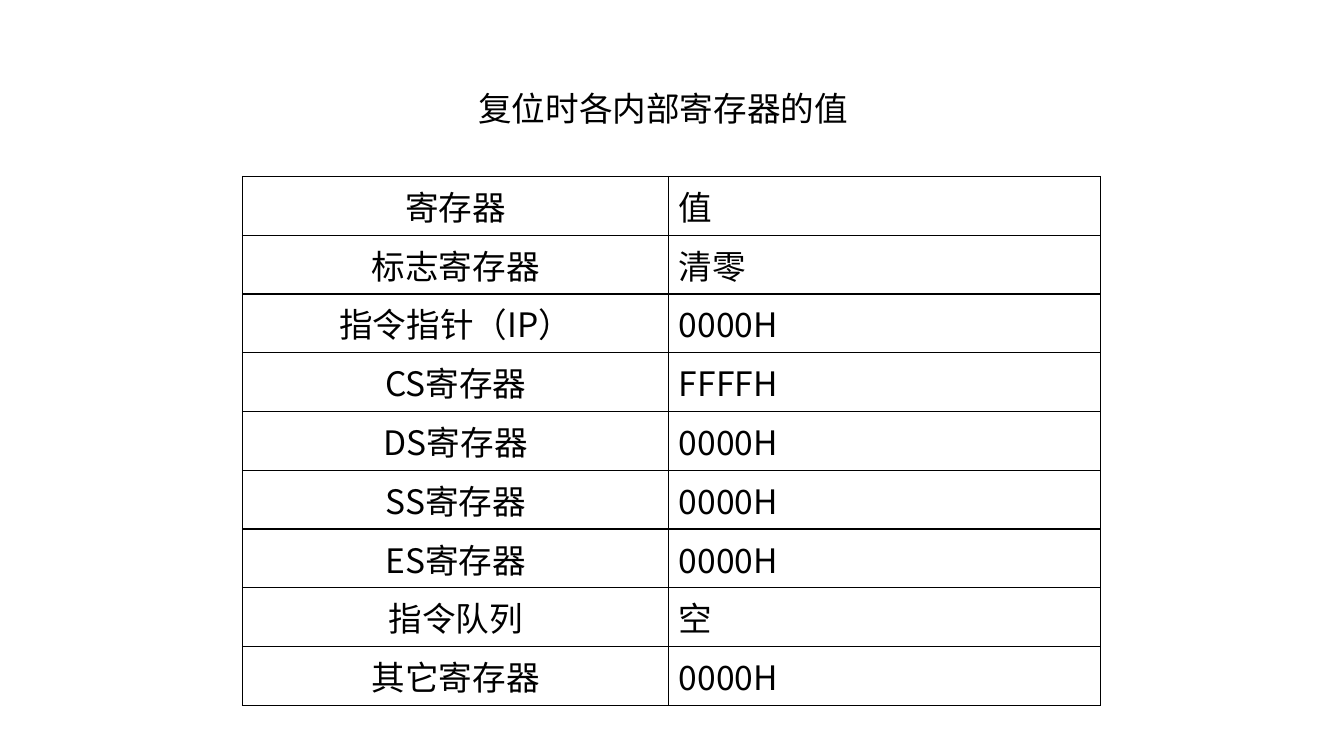
from lxml.etree import SubElement
from pptx import Presentation
from pptx.dml.color import RGBColor
from pptx.enum.text import PP_ALIGN
from pptx.oxml.ns import qn
from pptx.util import Pt

PX = 9525  # EMU per px, 96 px to the inch
FONT = "Noto Sans CJK SC"
COLORS = {"ink": "000000", "paper": "FFFFFF"}


def write(frame, text, size=24, color="ink", align=PP_ALIGN.LEFT):
    paragraph = frame.paragraphs[0]
    paragraph.alignment = align
    run = paragraph.add_run()
    run.text = text
    run.font.size = Pt(size)
    run.font.color.rgb = RGBColor.from_string(COLORS[color])
    run.font.name = FONT
    SubElement(run.font._element, qn("a:ea"), typeface=FONT)


def draw_borders(cell, color="ink", width=1):
    properties = cell._tc.get_or_add_tcPr()
    for side in ("lnL", "lnR", "lnT", "lnB"):
        line = SubElement(properties, qn(f"a:{side}"), w=str(Pt(width)))
        fill = SubElement(line, qn("a:solidFill"))
        SubElement(fill, qn("a:srgbClr"), val=COLORS[color])


presentation = Presentation()
presentation.slide_width = 1280 * PX
presentation.slide_height = 720 * PX
slide = presentation.slides.add_slide(presentation.slide_layouts[6])
slide.background.fill.solid()
slide.background.fill.fore_color.rgb = RGBColor.from_string(COLORS["paper"])

# Title
title = slide.shapes.add_textbox(36 * PX, 81 * PX, 1184 * PX, 60 * PX).text_frame
title.word_wrap = True
title.margin_top = 3 * PX
title.margin_bottom = 0
write(title, " 复位时各内部寄存器的值", align=PP_ALIGN.CENTER)

# Register values after reset
registers = [
    ("寄存器", "值"),
    ("标志寄存器", "清零"),
    ("指令指针（IP）", "0000H"),
    ("CS寄存器", "FFFFH"),
    ("DS寄存器", "0000H"),
    ("SS寄存器", "0000H"),
    ("ES寄存器", "0000H"),
    ("指令队列", "空"),
    ("其它寄存器", "0000H"),
]
column_widths = (406, 411)
row_height = 56
register_table = slide.shapes.add_table(
    len(registers), len(column_widths), 231 * PX, 168 * PX,
    sum(column_widths) * PX, len(registers) * row_height * PX).table
register_table.first_row = False
register_table.horz_banding = False
for column, width in zip(register_table.columns, column_widths):
    column.width = width * PX

for row, entry in enumerate(registers):
    for column, (text, align) in enumerate(zip(entry, (PP_ALIGN.CENTER, PP_ALIGN.LEFT))):
        cell = register_table.cell(row, column)
        draw_borders(cell)
        cell.fill.background()
        write(cell.text_frame, text, align=align)

presentation.save("out.pptx")
